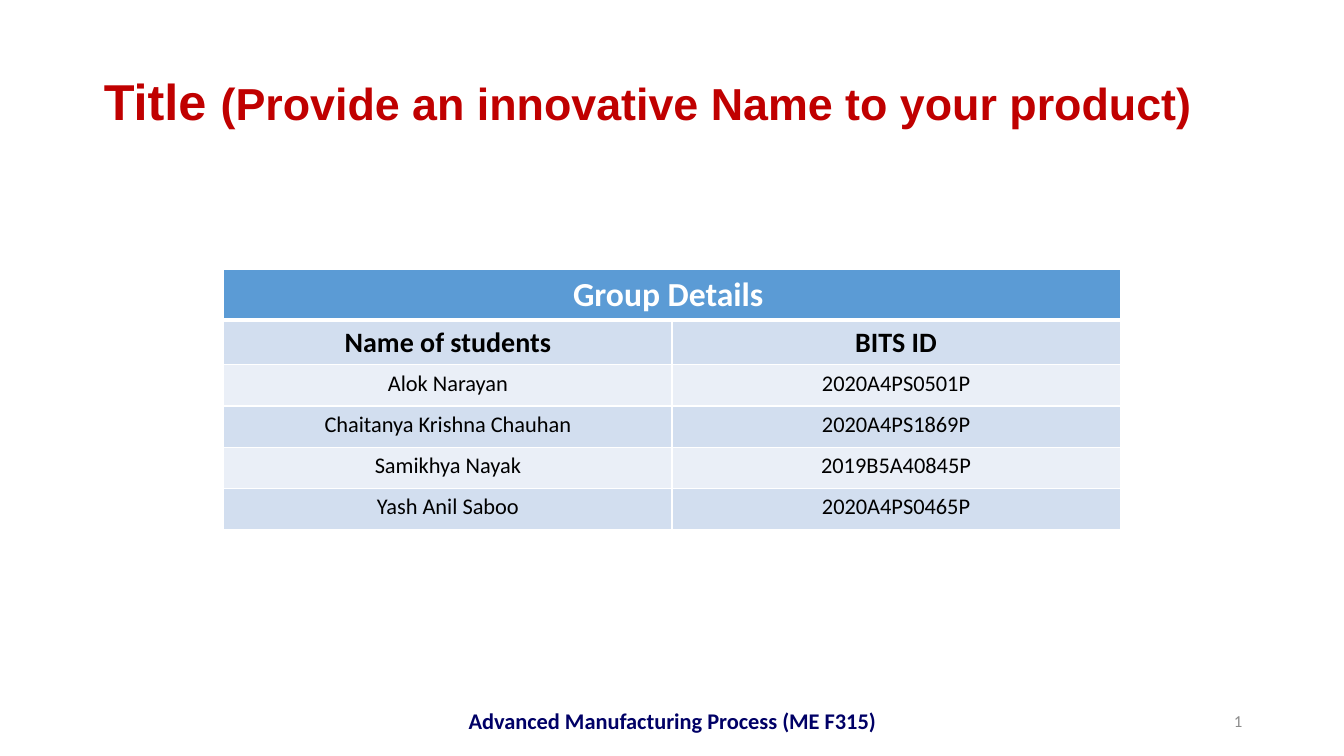
from pptx import Presentation
from pptx.dml.color import RGBColor
from pptx.enum.text import MSO_ANCHOR, PP_ALIGN
from pptx.oxml import parse_xml
from pptx.oxml.ns import nsdecls
from pptx.util import Inches, Pt

RED = RGBColor(0xC0, 0x00, 0x00)
NAVY = RGBColor(0x00, 0x00, 0x66)
GREY = RGBColor(0x8C, 0x8C, 0x8C)
WHITE = RGBColor(0xFF, 0xFF, 0xFF)
BLACK = RGBColor(0x00, 0x00, 0x00)
BLUE = RGBColor(0x5B, 0x9B, 0xD5)
BANDS = RGBColor(0xD2, 0xDE, 0xEF), RGBColor(0xEA, 0xEF, 0xF7)

TITLE = [("Title ", 36), ("(Provide an innovative Name to your product)", 32)]
ROWS = [
    ("Group Details ",),
    ("Name of students", "BITS ID"),
    ("Alok Narayan", "2020A4PS0501P"),
    ("Chaitanya Krishna Chauhan", "2020A4PS1869P"),
    ("Samikhya Nayak", "2019B5A40845P"),
    ("Yash Anil Saboo", "2020A4PS0465P"),
]
FOOTER = "Advanced Manufacturing Process (ME F315)"
HEAD_H, ROW_H = 0.37, 0.41


def style(font, name, size, color, bold):
    font.name, font.size, font.bold = name, Pt(size), bold
    font.color.rgb = color


def add_run(p, content, name, size, color, bold):
    r = p.add_run()
    r.text = content
    style(r.font, name, size, color, bold)


def add_box(s, left, width, align):
    tf = s.shapes.add_textbox(Inches(left), Inches(6.95), Inches(width), Inches(0.4)).text_frame
    tf.word_wrap = True
    tf.vertical_anchor = MSO_ANCHOR.MIDDLE
    p = tf.paragraphs[0]
    p.alignment = align
    return p


def set_borders(cell, bottom):
    tc_pr = cell._tc.get_or_add_tcPr()
    for side in "LRTB":
        width = Pt(bottom if side == "B" else 1)
        tc_pr.append(parse_xml(
            f'<a:ln{side} {nsdecls("a")} w="{width}"><a:solidFill>'
            f'<a:srgbClr val="{WHITE}"/></a:solidFill></a:ln{side}>'))


def add_title(s):
    title = s.shapes.title
    title.left, title.top = Inches(0.93), Inches(0.34)
    title.width, title.height = Inches(11.78), Inches(1.01)
    tf = title.text_frame
    tf.word_wrap = True
    tf.vertical_anchor = MSO_ANCHOR.BOTTOM
    p = tf.paragraphs[0]
    p.alignment = PP_ALIGN.LEFT
    p.line_spacing = 1.5
    for content, size in TITLE:
        add_run(p, content, "Arial", size, RED, True)


def add_group_table(s):
    height = HEAD_H + ROW_H * (len(ROWS) - 1)
    table = s.shapes.add_table(len(ROWS), 2, Inches(2.22), Inches(2.67),
                               Inches(8.89), Inches(height)).table
    for i, row in enumerate(ROWS):
        table.rows[i].height = Inches(ROW_H if i else HEAD_H)
        size = {0: 24, 1: 20}.get(i, 16)
        for cell in table.rows[i].cells:
            set_borders(cell, 1 if i else 3)
            cell.fill.solid()
            cell.fill.fore_color.rgb = BANDS[(i - 1) % 2] if i else BLUE
        for j, content in enumerate(row):
            p = table.cell(i, j).text_frame.paragraphs[0]
            p.alignment = PP_ALIGN.CENTER
            add_run(p, content, "Calibri", size, BLACK if i else WHITE, i < 2)
    table.cell(0, 0).merge(table.cell(0, 1))


def add_footer(s):
    p = add_box(s, 4.42, 4.5, PP_ALIGN.CENTER)
    add_run(p, FOOTER, "Calibri", 16, NAVY, True)
    p = add_box(s, 9.42, 3, PP_ALIGN.RIGHT)
    p._p.append(parse_xml(
        f'<a:fld {nsdecls("a")} id="{{B6F15528-21DE-4FAA-801E-634DDDAF4B2B}}" type="slidenum">'
        f'<a:rPr lang="en-US" sz="1200"><a:solidFill><a:srgbClr val="{GREY}"/></a:solidFill>'
        '<a:latin typeface="Calibri"/></a:rPr><a:t>1</a:t></a:fld>'))


def main():
    prs = Presentation()
    prs.slide_width, prs.slide_height = Inches(13.33), Inches(7.5)
    s = prs.slides.add_slide(prs.slide_layouts[5])
    add_title(s)
    add_group_table(s)
    add_footer(s)
    prs.save("out.pptx")


if __name__ == "__main__":
    main()
